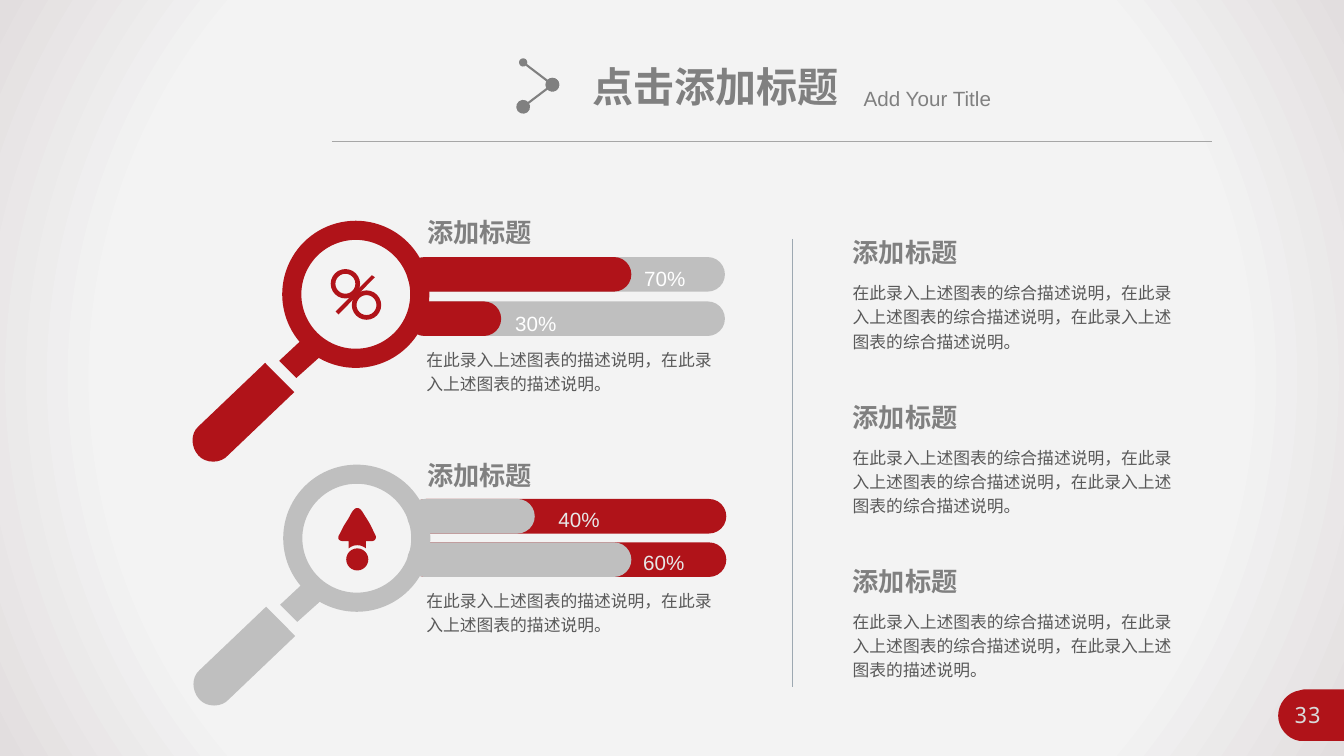
import lxml.etree
import pptx
import pptx.dml.color
import pptx.enum.shapes
import pptx.enum.text
import pptx.oxml
import pptx.oxml.ns
import pptx.util

Pt = pptx.util.Pt
qn = pptx.oxml.ns.qn
RGB = pptx.dml.color.RGBColor
SHAPE = pptx.enum.shapes.MSO_SHAPE
ALIGN = pptx.enum.text.PP_ALIGN

RED, SILVER = RGB(0xB0, 0x13, 0x19), RGB(0xBF, 0xBF, 0xBF)
WHITE, PALE = RGB(0xFF, 0xFF, 0xFF), RGB(0xE7, 0xE7, 0xE7)
GREY, BODY = RGB(0x80, 0x80, 0x80), RGB(0x59, 0x59, 0x59)
RULE, DIVIDER = RGB(0xA6, 0xA6, 0xA6), RGB(0x9D, 0xA8, 0xB1)
PAGE = RGB(0xD9, 0xD9, 0xD9)
CJK = "Noto Sans CJK SC"
W, H = 960, 540

HEADING = "添加标题"
SUMMARY = "在此录入上述图表的描述说明，在此录入上述图表的描述说明。"
DETAIL = "在此录入上述图表的综合描述说明，在此录入上述图表的综合描述说明，在此录入上述图表的综合描述说明。"
DETAIL_LAST = "在此录入上述图表的综合描述说明，在此录入上述图表的综合描述说明，在此录入上述图表的描述说明。"

# bars: (label, top, filled width, label centre)
PANELS = [
    dict(heading_y=151.2, text_y=243.4, lens=(0, 0), fill=RED, track=SILVER,
         track_x=291, label_color=WHITE, label_dy=-1.8,
         bars=[("70%", 183.6, 160, 474.8), ("30%", 215.3, 67, 382.7)]),
    dict(heading_y=324.7, text_y=415.4, lens=(0.7, 174.2), fill=SILVER, track=RED,
         track_x=292, label_color=PALE, label_dy=-2.9,
         bars=[("40%", 356.4, 91, 413.6), ("60%", 387.4, 160, 474.1)]),
]
NOTES = [DETAIL, DETAIL, DETAIL_LAST]
NOTES_X, NOTES_Y, NOTES_STEP = 602, 165.6, 117.4

# Outlines: a pair is a corner, six numbers are a Bezier curve
NECK = [(232.6, 251.3), (211.7, 270), (199.4, 257.8), (220.3, 238.3)]
GRIP = [(189.4, 259.2), (141.8, 304.6),
        (136.1, 309.6, 136.1, 319, 141.8, 325.4),
        (146.9, 331.2, 157.7, 331.2, 162.7, 325.4), (210.2, 280.1)]
SLASH = [(267.8, 198), (241.9, 224.6), (239.8, 222.5), (265.7, 196.6)]
ARROW = [(266.4, 378.7), (265, 375.1, 262.1, 370.8, 259.9, 367.2), (258.5, 365),
         (256.3, 362.2, 254.2, 362.2, 252, 365), (250.6, 367.2),
         (249.1, 370.8, 245.5, 375.1, 244.1, 378.7), (242.6, 381.6),
         (240.5, 384.5, 241.9, 386.6, 245.5, 386.6), (249.1, 386.6), (249.1, 391.7),
         (251.3, 390.2, 252.7, 389.5, 255.2, 389.5),
         (257.8, 389.5, 259.2, 390.2, 261.4, 391.7), (261.4, 386.6), (265, 386.6),
         (268.6, 386.6, 269.3, 383.8, 267.8, 381.6)]
PAGE_TAB = [(931, 492.5), (W, 492.5), (W, 529.2), (928.1, 529.2),
            (919.4, 527.8, 913, 519.8, 913, 511.2),
            (913, 502.6, 919.4, 494.6, 928.1, 493.2)]

prs = pptx.Presentation()
prs.slide_width, prs.slide_height = Pt(W), Pt(H)
s = prs.slides.add_slide(prs.slide_layouts[6])


def paint(sp, color):
    sp.shadow.inherit = False
    sp.fill.solid()
    sp.fill.fore_color.rgb = color
    sp.line.fill.background()
    return sp


def shape(kind, x, y, w, h, color, adj=None):
    sp = paint(s.shapes.add_shape(kind, Pt(x), Pt(y), Pt(w), Pt(h)), color)
    if adj is not None:
        sp.adjustments[0] = adj
    return sp


def outline(nodes, color, dx=0, dy=0, steps=8):
    """Filled freeform; curves are flattened into short segments."""
    points = []
    for node in nodes:
        if len(node) == 2:
            points.append(node)
            continue
        x0, y0 = points[-1]
        x1, y1, x2, y2, x3, y3 = node
        for i in range(1, steps + 1):
            t = i / steps
            a, b, c, d = (1 - t) ** 3, 3 * t * (1 - t) ** 2, 3 * t * t * (1 - t), t ** 3
            points.append((a * x0 + b * x1 + c * x2 + d * x3,
                           a * y0 + b * y1 + c * y2 + d * y3))
    emu = [(Pt(x + dx), Pt(y + dy)) for x, y in points]
    fb = s.shapes.build_freeform(*emu[0], scale=1.0)
    fb.add_line_segments(emu[1:], close=True)
    return paint(fb.convert_to_shape(), color)


def line(x1, y1, x2, y2, color, width, ends=()):
    """Straight line; ends gives the sizes of the round heads at its start and end."""
    cn = s.shapes.add_connector(pptx.enum.shapes.MSO_CONNECTOR.STRAIGHT,
                                Pt(x1), Pt(y1), Pt(x2), Pt(y2))
    cn.line.color.rgb = color
    cn.line.width = Pt(width)
    ln = cn.line._get_or_add_ln()
    for tag, size in zip(("a:headEnd", "a:tailEnd"), ends):
        lxml.etree.SubElement(ln, qn(tag), type="oval", w=size, len=size)
    lxml.etree.SubElement(cn._element.spPr, qn("a:effectLst"))


def text(words, x, y, w, h, size, color, font=CJK, bold=False, wrap=True,
         align=ALIGN.LEFT, spacing=None, inset=3.6):
    tf = s.shapes.add_textbox(Pt(x), Pt(y), Pt(w), Pt(h)).text_frame
    tf.word_wrap = wrap
    tf.margin_left = tf.margin_right = Pt(7.2)
    tf.margin_top = tf.margin_bottom = Pt(inset)
    p = tf.paragraphs[0]
    p.text = words
    p.alignment = align
    if spacing:
        p.line_spacing = spacing
    p.font.size, p.font.bold, p.font.name = Pt(size), bold, font
    p.font.color.rgb = color
    props = p._p.find(".//" + qn("a:defRPr"))
    lxml.etree.SubElement(props, qn("a:ea"), typeface=CJK)


def heading(x, y):
    text(HEADING, x, y, 90, 30.2, 18.7, GREY, bold=True, wrap=False)


def backdrop():
    sp = shape(SHAPE.RECTANGLE, 0, 0, W, H, WHITE)
    stops = "".join(f'<a:gs pos="{pos}000"><a:srgbClr val="{c}"/></a:gs>'
                    for pos, c in ((0, "F5F5F5"), (73, "F3F3F3"), (100, "E2DEDF")))
    grad = pptx.oxml.parse_xml(
        f'<a:gradFill xmlns:a="{pptx.oxml.ns.nsdecls("a").split(chr(34))[1]}" rotWithShape="1">'
        f'<a:gsLst>{stops}</a:gsLst><a:path path="circle">'
        '<a:fillToRect l="50000" t="50000" r="50000" b="50000"/></a:path></a:gradFill>')
    spPr = sp._element.spPr
    spPr.replace(spPr.find(qn("a:solidFill")), grad)


def magnifier(color, dx, dy):
    outline(NECK, color, dx, dy)
    shape(SHAPE.DONUT, 201.6 + dx, 157.7 + dy, 105.1, 105.1, color, 0.13)
    outline(GRIP, color, dx, dy)


backdrop()
line(237, 100.8, 865.5, 100.8, RULE, 0.5)
outline(PAGE_TAB, RED)
text("33", 910.3, 497.5, 47.5, 26.6, 16, PAGE, "Noto Sans Mono", align=ALIGN.CENTER)
line(566, 170.6, 566, 491, DIVIDER, 1)

for panel in PANELS:
    for label, top, filled, centre in panel["bars"]:
        shape(SHAPE.ROUNDED_RECTANGLE, panel["track_x"], top, 226.8, 24.7, panel["track"], 0.5)
        shape(SHAPE.ROUNDED_RECTANGLE, 291, top, filled, 24.7, panel["fill"], 0.5)
        text(label, centre - 30, top + panel["label_dy"], 60, 28.8, 14.7,
             panel["label_color"], "Arial", align=ALIGN.CENTER, spacing=1.2, inset=4.8)
    magnifier(panel["fill"], *panel["lens"])
    heading(298, panel["heading_y"])
    text(SUMMARY, 297.4, panel["text_y"], 221.8, 42.5, 12, BODY, spacing=1.2)

for x, y in ((236.2, 192.2), (251.3, 207.4)):
    shape(SHAPE.DONUT, x, y, 21, 21, RED, 0.16)
outline(SLASH, RED)
outline(ARROW, RED)
shape(SHAPE.OVAL, 247.3, 391.7, 15.8, 15.8, RED)

for i, note in enumerate(NOTES):
    y = NOTES_Y + i * NOTES_STEP
    heading(NOTES_X, y)
    text(note, NOTES_X, y + 30.2, 249.8, 59.8, 12, BODY, spacing=1.2)

text("点击添加标题", 416.2, 40.3, 192.2, 42.5, 29.3, GREY, "Arial", bold=True, wrap=False)
text("Add Your Title", 609.8, 57.6, 181.4, 25.2, 14.7, GREY, "Arial")
line(373.7, 44.6, 394.6, 60.5, GREY, 1.5, ("med", "lg"))
line(394.6, 60.5, 373.7, 76.3, GREY, 1.5, ("lg", "lg"))

prs.save("out.pptx")
